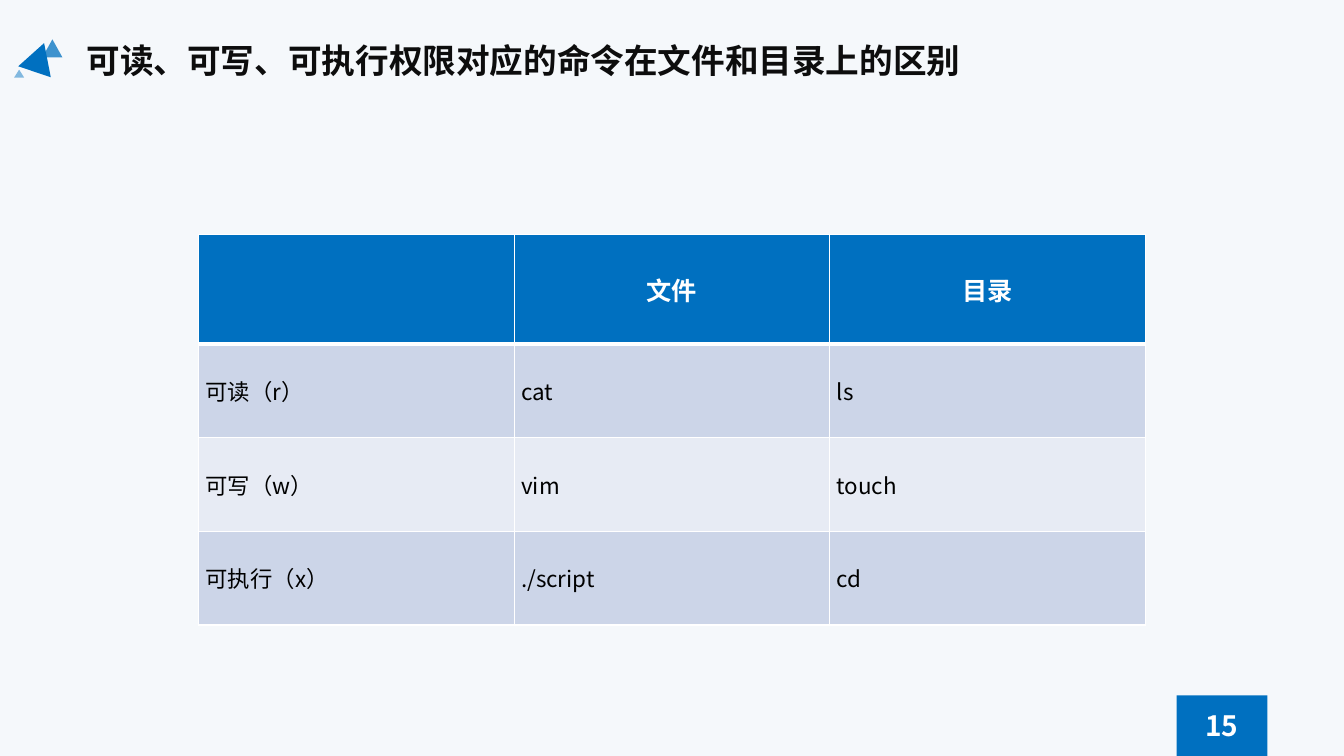
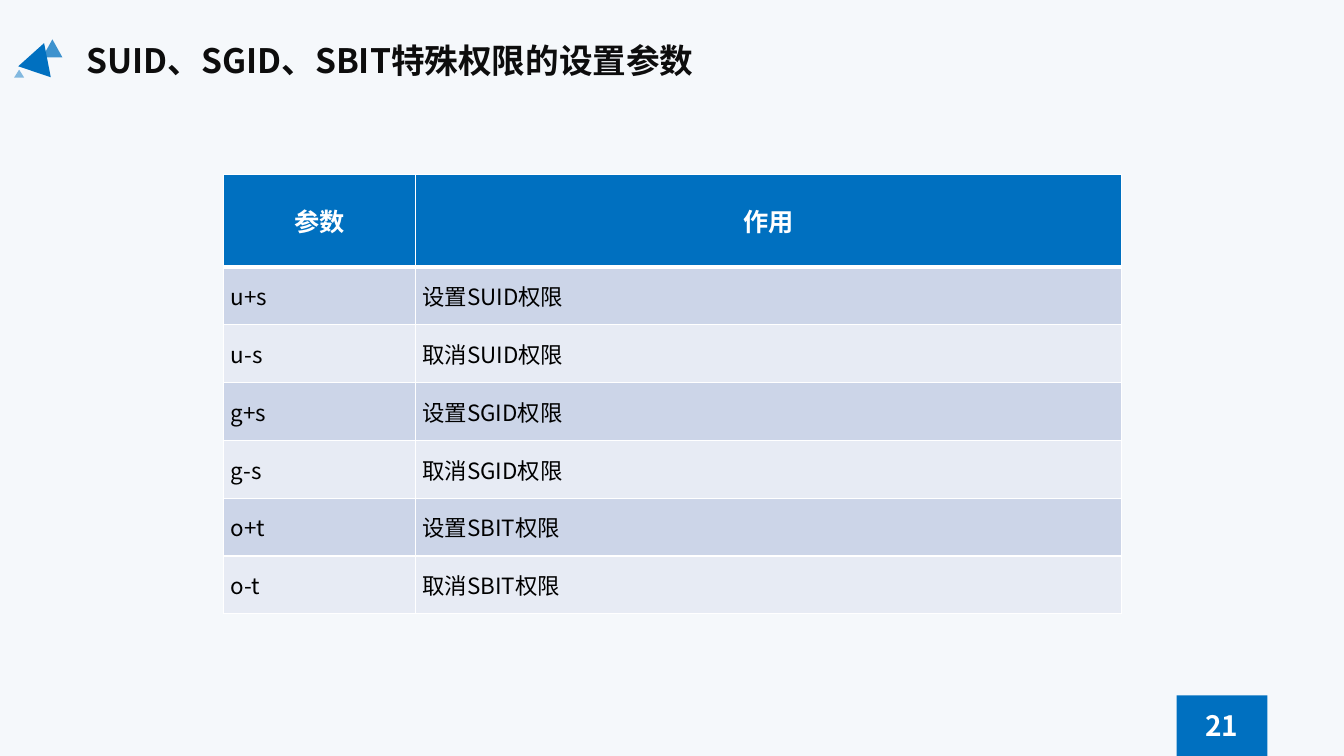
from lxml import etree
from pptx import Presentation
from pptx import util as u
from pptx.dml.color import RGBColor
from pptx.enum import shapes, text
from pptx.oxml.ns import qn

FONT = "Noto Sans CJK SC"
COLORS = {
    "background": "F5F8FB",
    "blue": "0070C0",
    "title": "0D0D0D",
    "white": "FFFFFF",
    "black": "000000",
    "band_dark": "CCD5E8",
    "band_light": "E7EBF4",
}

# left, top, width, height, rotation, opacity in percent
TRIANGLES = [
    (0.42, 0.39, 0.2, 0.18, 0, 75),
    (0.22, 0.42, 0.34, 0.3, 18.5, 100),
    (0.14, 0.69, 0.1, 0.08, 0, 47),
]

SLIDES = [
    {
        "title": "可读、可写、可执行权限对应的命令在文件和目录上的区别",
        "number": "15",
        "origin": (1.97, 2.33),
        "columns": [3.13, 3.13, 3.13],
        "header_height": 1.08,
        "row_height": 0.93,
        "rows": [
            ("", "文件", "目录"),
            ("可读（r）", "cat", "ls"),
            ("可写（w）", "vim", "touch"),
            ("可执行（x）", "./script", "cd"),
        ],
    },
    {
        "title": "SUID、SGID、SBIT特殊权限的设置参数",
        "number": "21",
        "origin": (2.22, 1.73),
        "columns": [1.9, 7],
        "header_height": 0.92,
        "row_height": 3.44 / 6,
        "rows": [
            ("参数", "作用"),
            ("u+s", "设置SUID权限"),
            ("u-s", "取消SUID权限"),
            ("g+s", "设置SGID权限"),
            ("g-s", "取消SGID权限"),
            ("o+t", "设置SBIT权限"),
            ("o-t", "取消SBIT权限"),
        ],
    },
]


def rgb(name):
    return RGBColor.from_string(COLORS[name])


def inches(*values):
    return [u.Inches(v) for v in values]


def write(tf, words, size, color, bold, align):
    p = tf.paragraphs[0]
    p.text = words
    p.alignment = align
    p.font.size = u.Pt(size)
    p.font.bold = bold
    p.font.color.rgb = rgb(color)
    p.font.name = FONT
    defaults = p._p.get_or_add_pPr().get_or_add_defRPr()
    etree.SubElement(defaults, qn("a:ea"), typeface=FONT)


def add_text(parent, box, words, size, color, align):
    tf = parent.add_textbox(*inches(*box)).text_frame
    tf.word_wrap = True
    tf.auto_size = text.MSO_AUTO_SIZE.SHAPE_TO_FIT_TEXT
    write(tf, words, size, color, True, align)


def add_blue_shape(parent, kind, box, rotation=0, opacity=100):
    sp = parent.add_shape(kind, *inches(*box))
    sp.rotation = rotation
    sp.shadow.inherit = False
    sp.line.fill.background()
    sp.fill.solid()
    sp.fill.fore_color.rgb = rgb("blue")
    if opacity < 100:
        color = sp._element.spPr.find(".//" + qn("a:srgbClr"))
        etree.SubElement(color, qn("a:alpha"), val=str(opacity * 1000))


def set_borders(cell, top, bottom):
    """Draw white borders; top and bottom are widths in points."""
    tcPr = cell._tc.get_or_add_tcPr()
    for i, (side, width) in enumerate(zip("LRTB", (1, 1, top, bottom))):
        ln = etree.Element(qn(f"a:ln{side}"), w=str(u.Pt(width)))
        fill = etree.SubElement(ln, qn("a:solidFill"))
        etree.SubElement(fill, qn("a:srgbClr"), val=COLORS["white"])
        tcPr.insert(i, ln)


def add_frame(s, title, number):
    """Add the background, title, triangles and page number."""
    s.background.fill.solid()
    s.background.fill.fore_color.rgb = rgb("background")
    add_text(s.shapes, (0.76, 0.35, 9.48, 0.5), title, 24, "title", text.PP_ALIGN.LEFT)
    emblem = s.shapes.add_group_shape().shapes
    for *box, rotation, opacity in TRIANGLES:
        add_blue_shape(emblem, shapes.MSO_SHAPE.ISOSCELES_TRIANGLE, box, rotation, opacity)
    badge = s.shapes.add_group_shape().shapes
    add_blue_shape(badge, shapes.MSO_SHAPE.RECTANGLE, (11.67, 6.9, 0.9, 0.6))
    add_text(badge, (11.8, 6.98, 0.64, 0.44), number, 20, "white", text.PP_ALIGN.CENTER)


def add_table(s, origin, columns, header_height, row_height, rows):
    heights = [header_height] + [row_height] * (len(rows) - 1)
    box = (*origin, sum(columns), sum(heights))
    table = s.shapes.add_table(len(rows), len(columns), *inches(*box)).table
    table.horz_banding = False
    for column, width in zip(table.columns, columns):
        column.width = u.Inches(width)
    for r, (row, height) in enumerate(zip(table.rows, heights)):
        row.height = u.Inches(height)
        header = r == 0
        fill = "blue" if header else "band_dark" if r % 2 else "band_light"
        for cell, words in zip(row.cells, rows[r]):
            cell.fill.solid()
            cell.fill.fore_color.rgb = rgb(fill)
            cell.vertical_anchor = text.MSO_ANCHOR.MIDDLE
            cell.margin_left = cell.margin_right = u.Inches(0.07)
            cell.margin_top = cell.margin_bottom = 0
            set_borders(cell, top=3 if r == 1 else 1, bottom=3 if header else 1)
            if header:
                write(cell.text_frame, words, 18, "white", True, text.PP_ALIGN.CENTER)
            else:
                write(cell.text_frame, words, 16, "black", False, text.PP_ALIGN.JUSTIFY)


def main():
    prs = Presentation()
    prs.slide_width, prs.slide_height = inches(13.33, 7.5)
    for content in SLIDES:
        s = prs.slides.add_slide(prs.slide_layouts[6])
        add_frame(s, content["title"], content["number"])
        add_table(s, content["origin"], content["columns"], content["header_height"],
                  content["row_height"], content["rows"])
    prs.save("out.pptx")


if __name__ == "__main__":
    main()
